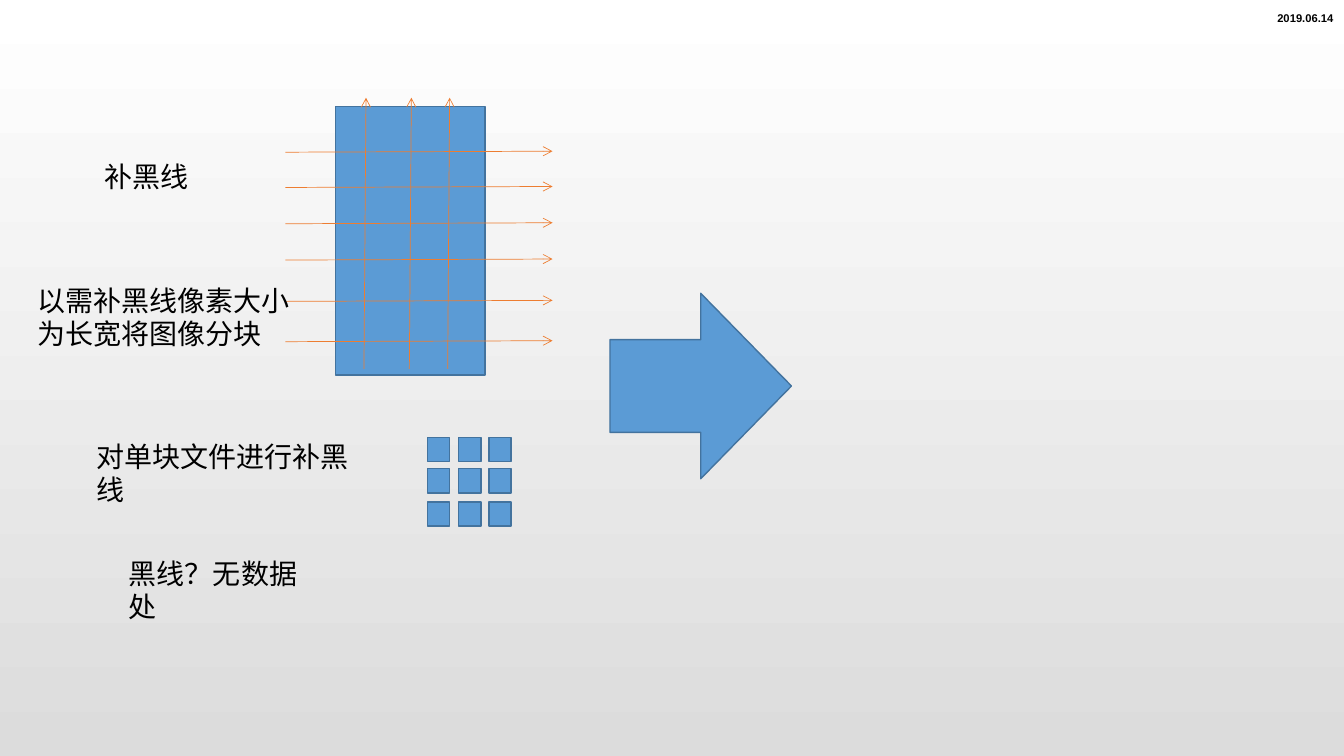
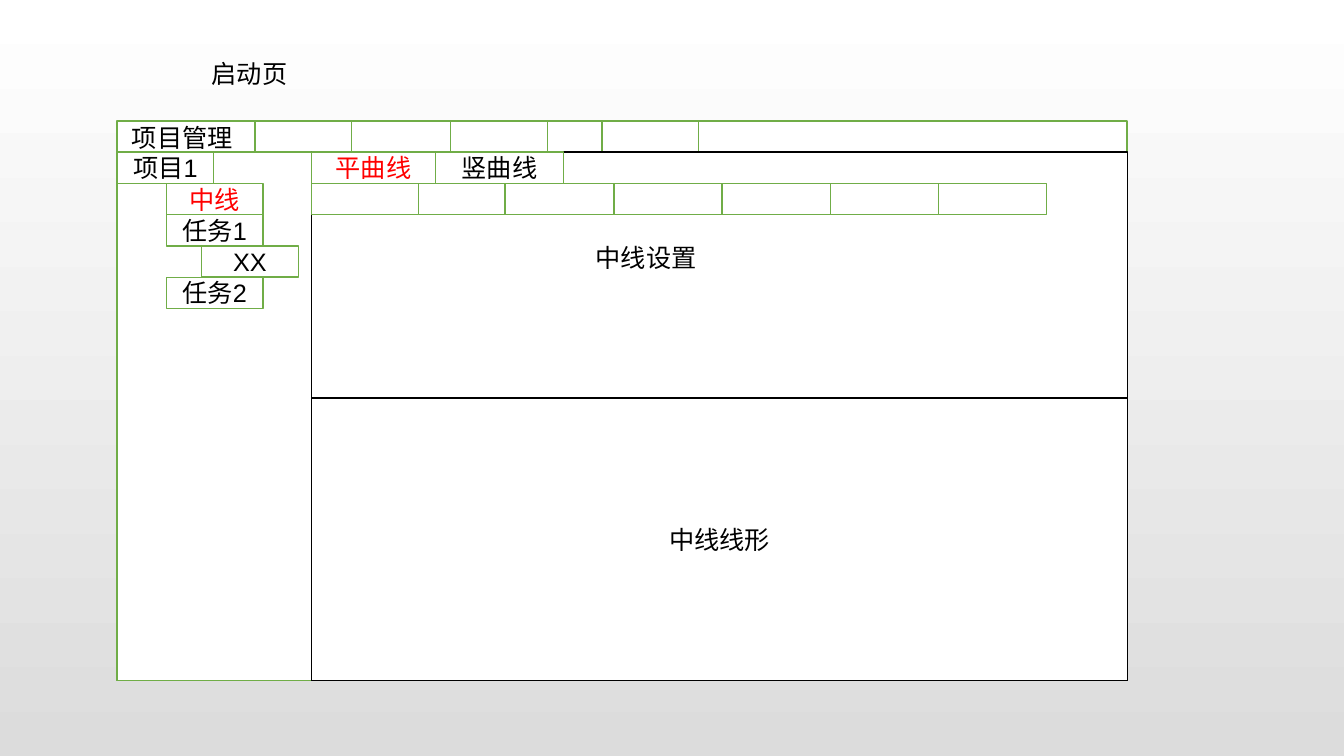
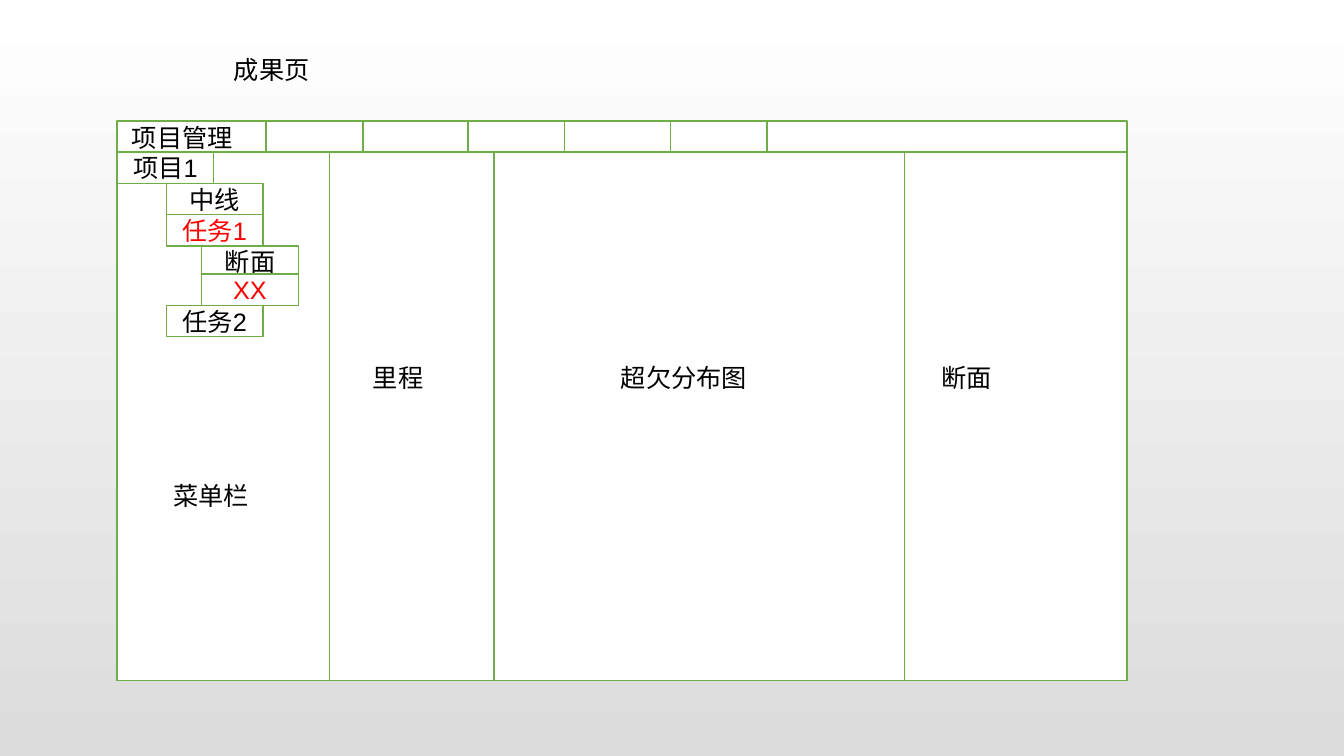
from itertools import pairwise, product

from lxml import etree
from pptx import Presentation
from pptx.dml.color import RGBColor
from pptx.enum.shapes import MSO_CONNECTOR, MSO_SHAPE
from pptx.enum.text import MSO_ANCHOR, MSO_AUTO_SIZE, PP_ALIGN
from pptx.oxml.ns import qn
from pptx.util import Inches, Pt

RECTANGLE, RIGHT_ARROW = MSO_SHAPE.RECTANGLE, MSO_SHAPE.RIGHT_ARROW
STRAIGHT = MSO_CONNECTOR.STRAIGHT
TOP, MIDDLE = MSO_ANCHOR.TOP, MSO_ANCHOR.MIDDLE
LEFT, CENTER = PP_ALIGN.LEFT, PP_ALIGN.CENTER
NO_AUTOFIT = MSO_AUTO_SIZE.NONE
TITLE_ONLY = 5

COLORS = {
    "black": "000000",
    "red": "FF0000",
    "white": "FFFFFF",
    "gray": "DCDCDC",
    "blue": "5B9BD5",
    "dark_blue": "43739E",
    "orange": "ED7D31",
    "green": "70AD47",
}
FONT = {"name": "Arial", "size": Pt(18), "bold": False}
NOTE = {"size": Pt(20)}
DATE = {"size": Pt(8), "bold": True}

# The application window that both page sketches share
WINDOW_LEFT, WINDOW_RIGHT = 1.16, 11.18
WINDOW_TOP, WINDOW_BOTTOM = 1.2, 6.75
CELL_WIDTH, ROW_HEIGHT = 0.96, 0.31
BODY_TOP = WINDOW_TOP + ROW_HEIGHT
BODY_HEIGHT = WINDOW_BOTTOM - BODY_TOP
TREE_LEFTS = (WINDOW_LEFT, 1.65, 2.0)


def rgb(color):
    return RGBColor.from_string(COLORS[color])


def set_attributes(target, values):
    for name, value in values.items():
        setattr(target, name, value)


def write(shape, text, color="black", align=LEFT, anchor=TOP, wrap=True, style=None):
    frame = shape.text_frame
    set_attributes(frame, {"text": text, "word_wrap": wrap,
                           "auto_size": NO_AUTOFIT, "vertical_anchor": anchor})
    paragraph = frame.paragraphs[0]
    paragraph.alignment = align
    set_attributes(paragraph.font, FONT | (style or {}))
    paragraph.font.color.rgb = rgb(color)


def add_label(slide, text, left, top, width, height=0.4, **options):
    label = slide.shapes.add_textbox(*map(Inches, (left, top, width, height)))
    write(label, text, **options)


def add_box(slide, left, top, width, height, text="", color="black",
            fill="white", line="green", kind=RECTANGLE):
    box = slide.shapes.add_shape(kind, *map(Inches, (left, top, width, height)))
    box.shadow.inherit = False
    box.fill.solid()
    box.fill.fore_color.rgb = rgb(fill)
    box.line.color.rgb = rgb(line)
    box.line.width = Pt(1)
    if text:
        write(box, text, color, CENTER, MIDDLE)


def add_blue(slide, left, top, width, height, kind=RECTANGLE):
    add_box(slide, left, top, width, height, fill="blue", line="dark_blue", kind=kind)


def add_arrow(slide, *ends):
    """Draw a thin arrow; ends are start x, start y, end x, end y."""
    arrow = slide.shapes.add_connector(STRAIGHT, *map(Inches, ends))
    arrow.line.color.rgb = rgb("orange")
    arrow.line.width = Pt(0.5)
    etree.SubElement(arrow.line._get_or_add_ln(), qn("a:tailEnd"), type="arrow")
    etree.SubElement(arrow._element.spPr, qn("a:effectLst"))


def add_slide(prs, title, left, top, width, style=None):
    slide = prs.slides.add_slide(prs.slide_layouts[TITLE_ONLY])
    heading = slide.shapes.title
    set_attributes(heading, {"left": Inches(left), "top": Inches(top),
                             "width": Inches(width), "height": Inches(0.44)})
    write(heading, title, style=style)
    return slide


def set_background(master):
    fill = master.background.fill
    fill.gradient()
    fill.gradient_angle = 270
    for stop, color, position in zip(fill.gradient_stops, ("white", "gray"), (0, 1)):
        stop.color.rgb = rgb(color)
        stop.position = position


def add_window(slide, menu_right, tool_lefts, tree):
    """Draw the window, toolbar and menu; tree rows are text, level, top, colour."""
    add_box(slide, WINDOW_LEFT, WINDOW_TOP,
            WINDOW_RIGHT - WINDOW_LEFT, WINDOW_BOTTOM - WINDOW_TOP)
    add_box(slide, WINDOW_LEFT, BODY_TOP, menu_right - WINDOW_LEFT, BODY_HEIGHT)
    for left in tool_lefts:
        add_box(slide, left, WINDOW_TOP, CELL_WIDTH, ROW_HEIGHT)
    for text, level, top, color in tree:
        add_box(slide, TREE_LEFTS[level], top, CELL_WIDTH, ROW_HEIGHT, text, color)
    add_label(slide, "项目管理", 1.21, 1.16, 1.4)


def build_black_line_slide(prs):
    slide = add_slide(prs, "补黑线", 0.94, 1.53, 1.1, NOTE)
    add_label(slide, "2019.06.14", 12.57, 0.06, 0.76, 0.23, wrap=False, style=DATE)

    add_blue(slide, 3.33, 1.06, 1.48, 2.66)
    for y in (1.51, 1.86, 2.22, 2.58, 2.99, 3.39):
        add_arrow(slide, 2.83, y, 5.48, y - 0.01)
    for x in (4.44, 4.06, 3.61):
        add_arrow(slide, x, 3.66, x + 0.02, 0.97)

    add_label(slide, "以需补黑线像素大小为长宽将图像分块", 0.27, 2.76, 2.72, 0.77, style=NOTE)
    add_label(slide, "对单块文件进行补黑线", 0.86, 4.31, 2.9, 0.77, style=NOTE)
    add_label(slide, "黑线？无数据处", 1.18, 5.47, 2.1, 0.77, style=NOTE)

    for top, left in product((4.34, 4.65, 4.98), (4.24, 4.55, 4.85)):
        add_blue(slide, left, top, 0.22, 0.24)
    add_blue(slide, 6.05, 2.91, 1.8, 1.84, RIGHT_ARROW)


def build_start_page(prs):
    slide = add_slide(prs, "启动页", 2, 0.53, 1.21)
    menu_right = 3.09
    add_window(slide, menu_right, (2.53, 4.47, 5.97), (
        ("项目1", 0, 1.51, "black"),
        ("中线", 1, 1.82, "red"),
        ("任务1", 1, 2.13, "black"),
        ("XX", 2, 2.44, "black"),
        ("任务2", 1, 2.75, "black"),
    ))
    panel_width = WINDOW_RIGHT - menu_right
    add_box(slide, menu_right, BODY_TOP, panel_width, BODY_HEIGHT, line="black")
    add_label(slide, "中线设置", 5.81, 2.35, 1.71)
    for left, right in pairwise((menu_right, 4.15, 5.01, 6.09, 7.16, 8.24, 9.31, 10.38)):
        add_box(slide, left, 1.82, right - left, ROW_HEIGHT)
    add_box(slide, menu_right, 3.95, panel_width, 2.8, "中线线形", line="black")
    add_box(slide, menu_right, BODY_TOP, 1.23, ROW_HEIGHT, "平曲线", "red")
    add_box(slide, 4.32, BODY_TOP, 1.27, ROW_HEIGHT, "竖曲线")


def build_result_page(prs):
    slide = add_slide(prs, "成果页", 2.22, 0.49, 1.21)
    menu_right = 3.27
    add_window(slide, menu_right, (2.64, 4.64, 6.65), (
        ("项目1", 0, 1.51, "black"),
        ("中线", 1, 1.82, "black"),
        ("任务1", 1, 2.13, "red"),
        ("断面", 2, 2.44, "black"),
        ("XX", 2, 2.72, "red"),
        ("任务2", 1, 3.03, "black"),
    ))
    for left, right in pairwise((menu_right, 4.9, 8.97, WINDOW_RIGHT)):
        add_box(slide, left, BODY_TOP, right - left, BODY_HEIGHT)
    add_label(slide, "菜单栏", 1.62, 4.72, 1.21)
    for text, left, width in (("里程", 3.6, 1.04), ("超欠分布图", 6.06, 2.36),
                              ("断面", 9.24, 1.21)):
        add_label(slide, text, left, 3.55, width)


def main():
    prs = Presentation()
    prs.slide_width, prs.slide_height = Inches(13.33), Inches(7.5)
    set_background(prs.slide_master)
    build_black_line_slide(prs)
    build_start_page(prs)
    build_result_page(prs)
    prs.save("out.pptx")


if __name__ == "__main__":
    main()
